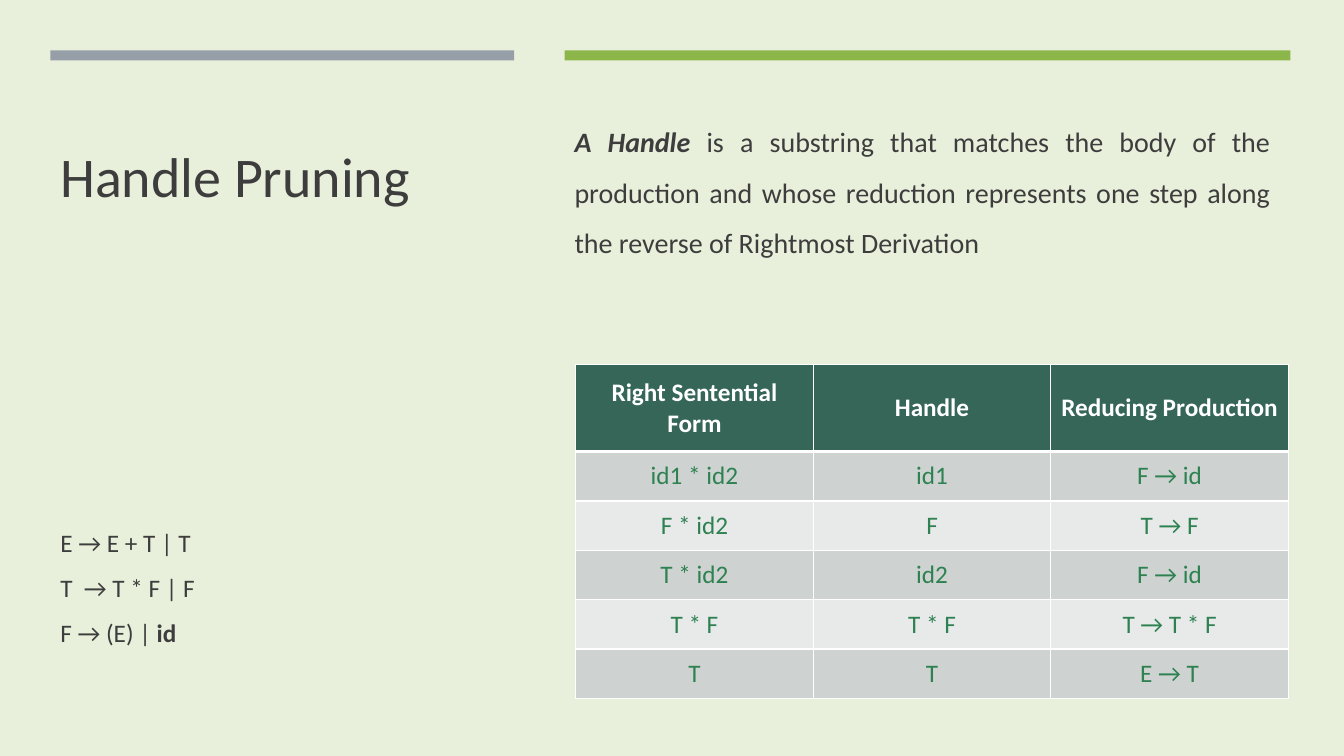
from dataclasses import dataclass

from lxml import etree
from pptx import Presentation
from pptx import util as u
from pptx.dml.color import RGBColor
from pptx.enum import shapes, text
from pptx.oxml import ns


@dataclass(frozen=True)
class Theme:
    font: str = "Calibri"
    back: str = "E8F0DB"
    ink: str = "3D3D3D"
    gray: str = "969FA7"
    lime: str = "8CB64A"
    head: str = "366658"
    odd: str = "CED3D1"
    even: str = "E8EAEA"
    cell: str = "2E8151"
    white: str = "FFFFFF"
    title: int = 40
    body: int = 20
    small: int = 18


THEME = Theme()
RULES = [
    [("E → E + T | T", False)],
    [("T  → T * F | F", False)],
    [("F → (E) | ", False), ("id", True)],
]
STEPS = [
    ("Right Sentential Form", "Handle", "Reducing Production"),
    ("id1 * id2", "id1", "F → id"),
    ("F * id2", "F", "T → F"),
    ("T * id2", "id2", "F → id"),
    ("T * F", "T * F", "T → T * F"),
    ("T", "T", "E → T"),
]


def rgb(code):
    return RGBColor.from_string(code)


def style(font, size, color, bold=False, italic=False):
    font.name, font.size = THEME.font, u.Pt(size)
    font.color.rgb = rgb(color)
    font.bold, font.italic = bold, italic


def add_bar(slide, box, color):
    bar = slide.shapes.add_shape(shapes.MSO_SHAPE.RECTANGLE, *map(u.Inches, box))
    bar.shadow.inherit = False
    bar.fill.solid()
    bar.fill.fore_color.rgb = rgb(color)
    bar.line.fill.background()


def add_text(slide, box, lines, size, align=text.PP_ALIGN.LEFT,
             anchor=text.MSO_ANCHOR.TOP, slant=False):
    """Each line is a list of (words, bold) pairs; slant makes bold words italic."""
    frame = slide.shapes.add_textbox(*map(u.Inches, box)).text_frame
    frame.word_wrap = True
    frame.vertical_anchor = anchor
    for i, line in enumerate(lines):
        para = frame.add_paragraph() if i else frame.paragraphs[0]
        para.alignment, para.line_spacing = align, 1.5
        for words, bold in line:
            run = para.add_run()
            run.text = words
            style(run.font, size, THEME.ink, bold, bold and slant)


def add_edges(cell, widths):
    props = cell._tc.get_or_add_tcPr()
    for side, width in zip("LRTB", widths):
        line = etree.SubElement(props, ns.qn(f"a:ln{side}"), w=str(u.Pt(width)))
        fill = etree.SubElement(line, ns.qn("a:solidFill"))
        etree.SubElement(fill, ns.qn("a:srgbClr"), val=THEME.white)


# Left side: bar, title and grammar
def add_left(slide, left, top, width):
    add_bar(slide, (left, top, width, 0.1), THEME.gray)
    add_text(slide, (left, top + 0.52, width - 0.15, 1.2),
             [[("Handle Pruning", False)]], THEME.title)
    add_text(slide, (left, top + 4.53, width - 0.15, 1.5), RULES, THEME.small)


# Right side: bar, definition and table of reductions
def add_right(slide, left, top, width):
    add_bar(slide, (left, top, width, 0.1), THEME.lime)
    claim = [("A Handle", True),
             (" is a substring that matches the body of the production and whose "
              "reduction represents one step along the reverse of Rightmost "
              "Derivation", False)]
    add_text(slide, (left, top + 0.38, width - 0.1, 1.88), [claim], THEME.body,
             text.PP_ALIGN.JUSTIFY, text.MSO_ANCHOR.MIDDLE, slant=True)
    add_steps(slide, (left + 0.11, top + 3.12, width - 0.13, 3.32))


def add_steps(slide, box):
    table = slide.shapes.add_table(len(STEPS), len(STEPS[0]),
                                   *map(u.Inches, box)).table
    for r, row in enumerate(STEPS):
        table.rows[r].height = u.Inches(0.49 if r else 0.86)
        fill = (THEME.odd if r % 2 else THEME.even) if r else THEME.head
        for c, words in enumerate(row):
            cell = table.cell(r, c)
            add_edges(cell, (1, 1, 3 if r == 1 else 1, 1 if r else 3))
            cell.fill.solid()
            cell.fill.fore_color.rgb = rgb(fill)
            cell.vertical_anchor = text.MSO_ANCHOR.MIDDLE
            para = cell.text_frame.paragraphs[0]
            para.text = words
            para.alignment = text.PP_ALIGN.CENTER
            style(para.runs[0].font, THEME.small,
                  THEME.cell if r else THEME.white, bold=not r)


def main():
    deck = Presentation()
    deck.slide_width, deck.slide_height = u.Inches(13.33), u.Inches(7.5)
    slide = deck.slides.add_slide(deck.slide_layouts[6])
    slide.background.fill.solid()
    slide.background.fill.fore_color.rgb = rgb(THEME.back)
    add_left(slide, 0.5, 0.5, 4.6)
    add_right(slide, 5.6, 0.5, 7.2)
    deck.save("out.pptx")


if __name__ == "__main__":
    main()
